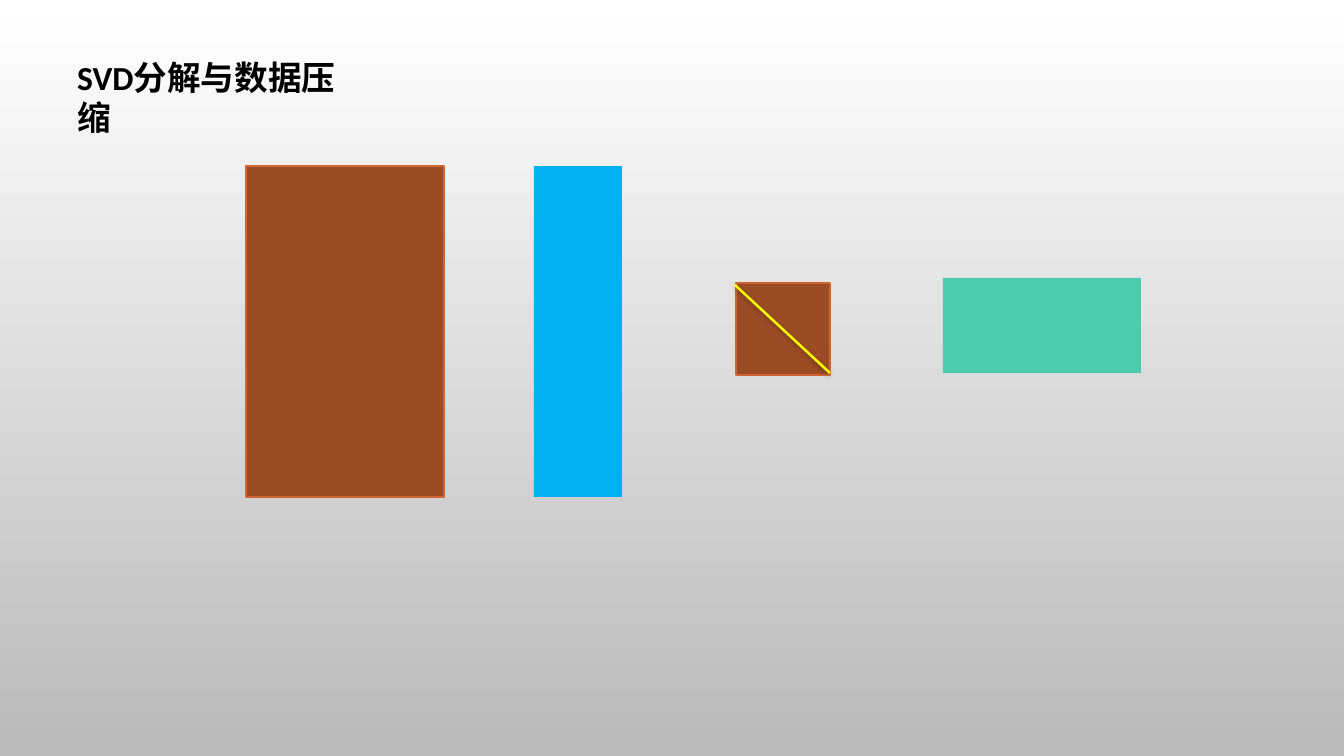
import pptx
import pptx.util
import pptx.dml.color
import pptx.enum.shapes
import pptx.enum.text
import pptx.oxml

PX = 12192000 / 1344
INK = {"black": "000000", "white": "FFFFFF", "gray": "B9B9B9", "brown": "9B4C25",
       "rust": "CE6633", "blue": "00B0F0", "teal": "4BCAAD", "yellow": "FFFF00"}
SHADE = ('<a:effectLst xmlns:a="http://schemas.openxmlformats.org/drawingml/2006/main">'
         '<a:outerShdw blurRad="50800" dist="25400" dir="5400000" rotWithShape="0">'
         '<a:srgbClr val="000000"><a:alpha val="28000"/></a:srgbClr>'
         '</a:outerShdw></a:effectLst>')


def px(*sizes):
    return [pptx.util.Emu(round(size * PX)) for size in sizes]


def hue(name):
    return pptx.dml.color.RGBColor.from_string(INK[name])


def write(frame, text, size=24, font="Calibri", color="black", bold=False):
    frame.word_wrap = True
    frame.auto_size = pptx.enum.text.MSO_AUTO_SIZE.NONE
    frame.vertical_anchor = pptx.enum.text.MSO_ANCHOR.TOP
    para = frame.paragraphs[0]
    para.alignment = pptx.enum.text.PP_ALIGN.LEFT
    run = para.add_run()
    run.text = text
    run.font.size = pptx.util.Pt(size)
    run.font.name = font
    run.font.bold = bold
    run.font.color.rgb = hue(color)


def block(slide, box, fill, edge=None):
    rect = slide.shapes.add_shape(pptx.enum.shapes.MSO_SHAPE.RECTANGLE, *px(*box))
    rect.shadow.inherit = False
    rect.fill.solid()
    rect.fill.fore_color.rgb = hue(fill)
    if edge:
        rect.line.color.rgb = hue(edge)
        rect.line.width = pptx.util.Pt(1.25)
    else:
        rect.line.fill.background()


def sigma(slide, box):
    left, top, width, height = box
    block(slide, box, "brown", "rust")
    ends = px(left - 1, top + 2, left + width, top + height - 2)
    line = slide.shapes.add_connector(pptx.enum.shapes.MSO_CONNECTOR.STRAIGHT, *ends)
    line.line.color.rgb = hue("yellow")
    line.line.width = pptx.util.Pt(1.75)
    line._element.spPr.append(pptx.oxml.parse_xml(SHADE))


def factors(slide, box):
    left, top, width, height = box
    wide, rank = 198, 95
    block(slide, (left, top, wide, height), "brown", "rust")
    block(slide, (left + 288, top, 88, height), "blue")
    block(slide, (left + width - wide, top + 112, wide, rank), "teal")
    sigma(slide, (left + 490, top + 117, 94, 92))


def header(slide, box):
    title = slide.shapes.title
    title.left, title.top, title.width, title.height = px(*box)
    write(title.text_frame, "SVD分解与数据压缩", bold=True)


def backdrop(slide):
    fill = slide.background.fill
    fill.gradient()
    fill.gradient_angle = 270
    for stop, name in zip(fill.gradient_stops, ("white", "gray")):
        stop.color.rgb = hue(name)


def main():
    deck = pptx.Presentation()
    deck.slide_width, deck.slide_height = px(1344, 756)
    slide = deck.slides.add_slide(deck.slide_layouts[5])
    backdrop(slide)
    factors(slide, (246, 166, 895, 331))
    header(slide, (67, 52, 310, 90))
    deck.save("out.pptx")


if __name__ == "__main__":
    main()
